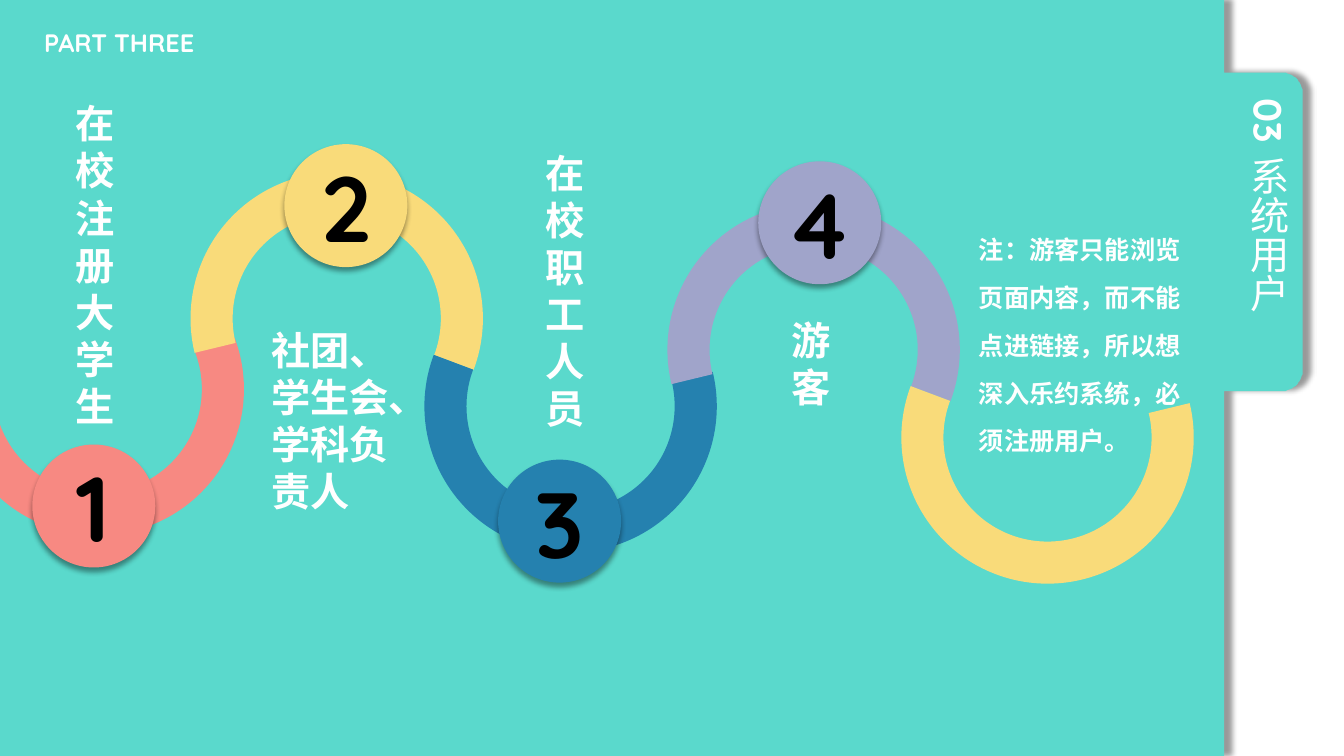
import math

from lxml import etree
from pptx import Presentation
from pptx import util as u
from pptx.dml.color import RGBColor
from pptx.enum import shapes, text
from pptx.oxml.ns import qn

PX = 9144  # 100 px to the inch
COLORS = {"teal": "5AD9CC", "coral": "F78982", "yellow": "F9DB7A", "blue": "2581AF",
          "lilac": "A0A4CA", "white": "FFFFFF", "black": "000000"}


def paint(shape, color, shadow=None):
    """Fill without outline; shadow is (distance in points, direction in degrees)."""
    shape.fill.solid()
    shape.fill.fore_color.rgb = RGBColor.from_string(COLORS[color])
    shape.line.fill.background()
    shape.shadow.inherit = False
    if shadow:
        distance, direction = shadow
        effects = shape._element.spPr.find(qn("a:effectLst"))
        outer = etree.SubElement(effects, qn("a:outerShdw"), blurRad=str(u.Pt(4)),
                                 dist=str(u.Pt(distance)), dir=str(direction * 60000),
                                 algn="ctr", rotWithShape="0")
        black = etree.SubElement(outer, qn("a:srgbClr"), val=COLORS["black"])
        etree.SubElement(black, qn("a:alpha"), val="40000")


def write(shape, words, size, color="white", bold=True, font="Quicksand", vertical=False):
    frame = shape.text_frame
    frame.text = words
    frame.word_wrap = True
    if vertical:
        frame._txBody.bodyPr.set("vert", "eaVert")
    for paragraph in frame.paragraphs:
        for run in paragraph.runs:
            run.font.size = u.Pt(size)
            run.font.bold = bold
            run.font.name = font
            run.font.color.rgb = RGBColor.from_string(COLORS[color])
            etree.SubElement(run._r.rPr, qn("a:ea"), typeface=font)
    return frame


prs = Presentation()
prs.slide_width, prs.slide_height = 1333 * PX, 750 * PX
slide = prs.slides.add_slide(prs.slide_layouts[5])
title = slide.shapes.title

# Teal page with a rounded tab on its right edge
page_right, tab_right, tab_top, tab_bottom, radius = 1214, 1292, 72, 388, 21
outline = [(page_right, 0), (page_right, tab_top)]
for center_y, start in ((tab_top + radius, -90), (tab_bottom - radius, 0)):
    for angle in range(start, start + 91, 6):
        outline.append((tab_right - radius + radius * math.cos(math.radians(angle)),
                        center_y + radius * math.sin(math.radians(angle))))
outline += [(page_right, tab_bottom), (page_right, 750), (0, 750)]
builder = slide.shapes.build_freeform(0, 0, scale=PX)
builder.add_line_segments(outline, close=True)
page = builder.convert_to_shape()
paint(page, "teal", shadow=(6, 0))
slide.shapes._spTree.insert(2, page._element)

# Tab and page headings
title.left, title.top, title.width, title.height = [n * PX for n in (1220, 151, 66, 238)]
part_number = slide.shapes.add_textbox(1216 * PX, 88 * PX, 66 * PX, 74 * PX)
part_name = slide.shapes.add_textbox(34 * PX, 26 * PX, 431 * PX, 39 * PX)
for heading, words, size, bold, vertical in (
        (title, "系统用户", 28, False, True),
        (part_number, "03", 28, True, True),
        (part_name, "PART THREE", 18, True, False)):
    frame = write(heading, words, size, bold=bold, vertical=vertical)
    frame.auto_size = text.MSO_AUTO_SIZE.NONE
    frame.vertical_anchor = text.MSO_ANCHOR.TOP
    frame.paragraphs[0].alignment = text.PP_ALIGN.LEFT
    frame.paragraphs[0].line_spacing = 0.9

# Winding road
for left, top, rotation, flip, color in (
        (-48, 241, 266.1, None, "coral"),
        (189, 171, 93.9, "flipV", "yellow"),
        (421, 258, 93.9, "flipH", "blue"),
        (662, 202, 93.9, "flipV", "lilac"),
        (894, 289, 93.9, "flipH", "yellow")):
    bend = slide.shapes.add_shape(shapes.MSO_SHAPE.BLOCK_ARC,
                                  left * PX, top * PX, 290 * PX, 290 * PX)
    for index, degrees in enumerate((73.3, 287.5)):
        bend.adjustments[index] = degrees * 0.6
    bend.adjustments[2] = 0.144
    bend.rotation = rotation
    if flip:
        bend._element.spPr.xfrm.set(flip, "1")
    paint(bend, color)

# Numbered stops
for number, (left, top, color) in enumerate((
        (32, 441, "coral"), (282, 143, "yellow"),
        (494, 456, "blue"), (752, 160, "lilac")), start=1):
    stop = slide.shapes.add_shape(shapes.MSO_SHAPE.OVAL,
                                  left * PX, top * PX, 122 * PX, 122 * PX)
    paint(stop, color, shadow=(3, 90))
    frame = write(stop, str(number), 66, color="black")
    frame.vertical_anchor = text.MSO_ANCHOR.MIDDLE
    frame.paragraphs[0].alignment = text.PP_ALIGN.CENTER

# User groups
for words, left, top, width, height in (
        ("在校职工人员", 531, 143, 56, 293),
        ("在校注册大学生", 65, 94, 58, 340),
        ("社团、学生会、学科负责人", 259, 319, 152, 199),
        ("游客", 775, 309, 64, 104)):
    group = slide.shapes.add_textbox(left * PX, top * PX, width * PX, height * PX)
    write(group, words, 28).auto_size = text.MSO_AUTO_SIZE.SHAPE_TO_FIT_TEXT

# Visitor note
note = slide.shapes.add_textbox(961 * PX, 219 * PX, 222 * PX, 237 * PX)
frame = write(note, "注：游客只能浏览\n页面内容，而不能\n点进链接，所以想\n深入乐约系统，必\n须注册用户。",
              18, font="Noto Sans CJK SC")
frame.word_wrap = False
frame.auto_size = text.MSO_AUTO_SIZE.SHAPE_TO_FIT_TEXT
for index, line in enumerate(frame.paragraphs):
    line.line_spacing = 1.3
    line.space_before = u.Pt(6 if index else 0)

prs.save("out.pptx")
